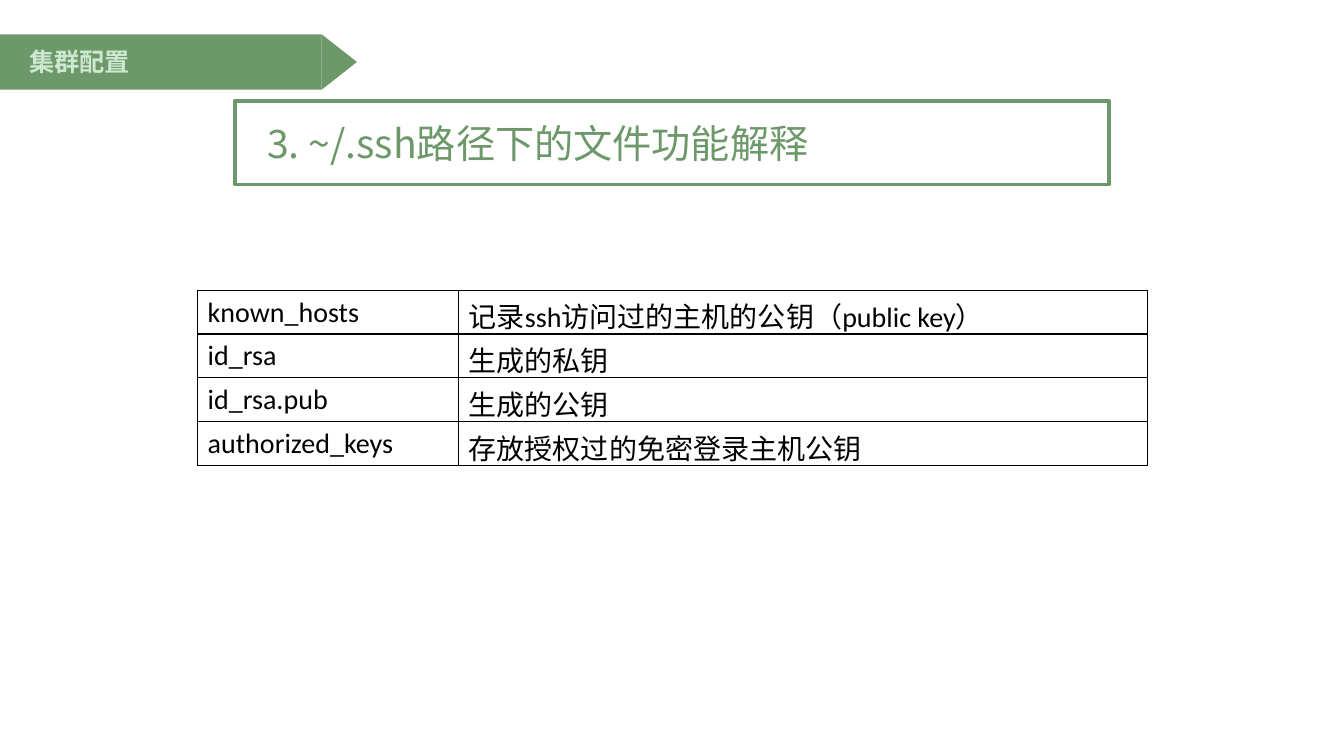
from lxml import etree
from pptx import Presentation
from pptx.dml.color import RGBColor
from pptx.enum import shapes, text
from pptx.oxml import ns
from pptx.util import Inches, Pt

SECTION = "集群配置"
HEADING = "3. ~/.ssh路径下的文件功能解释"
FILES = [
    ("known_hosts", "记录ssh访问过的主机的公钥（public key）"),
    ("id_rsa", "生成的私钥"),
    ("id_rsa.pub", "生成的公钥"),
    ("authorized_keys", "存放授权过的免密登录主机公钥"),
]
GREEN, MINT, BLACK = "6D986A", "CCE8CF", "000000"
CJK = "Noto Sans CJK SC"
COLUMNS = (2.59, 6.83)
ROW = 0.41
TABLE_LEFT, TABLE_TOP = 1.96, 2.88
RIBBON_TOP, RIBBON_WIDTH, RIBBON_HEIGHT, TIP = 0.34, 3.2, 0.55, 0.35


def rgb(value):
    """Turn a hex string into a colour."""
    return RGBColor.from_string(value)


def add_block(group, preset, box, fill=None, line=None):
    """Draw a plain shape with a fill or an outline."""
    block = group.add_shape(preset, *map(Inches, box))
    block.shadow.inherit = False
    if fill:
        block.fill.solid()
        block.fill.fore_color.rgb = rgb(fill)
    else:
        block.fill.background()
    if line:
        block.line.color.rgb = rgb(line)
        block.line.width = Pt(2.5)
    else:
        block.line.fill.background()
    return block


def add_label(slide, words, box, size, color, bold=False, anchor=text.MSO_ANCHOR.TOP):
    """Write one line in the heading font."""
    frame = slide.shapes.add_textbox(*map(Inches, box)).text_frame
    frame.word_wrap = True
    frame.vertical_anchor = anchor
    frame.margin_left = frame.margin_right = Inches(0.05)
    frame.margin_top = frame.margin_bottom = Inches(0.05)
    line = frame.paragraphs[0]
    run = line.add_run()
    run.text = words
    font = run.font
    font.name, font.size, font.bold = CJK, Pt(size), bold
    font.color.rgb = rgb(color)
    east = etree.SubElement(run._r.get_or_add_rPr(), ns.qn("a:ea"))
    east.set("typeface", CJK)


def add_borders(cell):
    """Rule all four sides of a cell."""
    properties = cell._tc.get_or_add_tcPr()
    for place, side in enumerate(("lnL", "lnR", "lnT", "lnB")):
        edge = etree.Element(ns.qn(f"a:{side}"), w=str(Pt(1)))
        solid = etree.SubElement(edge, ns.qn("a:solidFill"))
        etree.SubElement(solid, ns.qn("a:srgbClr"), val=BLACK)
        properties.insert(place, edge)


def add_ribbon(slide):
    """Draw the section ribbon with its pointed end."""
    ribbon = slide.shapes.add_group_shape().shapes
    add_block(ribbon, shapes.MSO_SHAPE.RECTANGLE,
              (-0.01, RIBBON_TOP, RIBBON_WIDTH, RIBBON_HEIGHT), GREEN)
    tip_left = RIBBON_WIDTH - 0.01 - (RIBBON_HEIGHT - TIP) / 2
    tip_top = RIBBON_TOP + (RIBBON_HEIGHT - TIP) / 2
    tip = add_block(ribbon, shapes.MSO_SHAPE.ISOSCELES_TRIANGLE,
                    (tip_left, tip_top, RIBBON_HEIGHT, TIP), GREEN)
    tip.rotation = 90
    add_label(slide, SECTION, (0.24, 0.41, 2.71, 0.4), 18, MINT, True,
              text.MSO_ANCHOR.MIDDLE)


def add_files(slide):
    """Fill the table of files and their purposes."""
    files = slide.shapes.add_table(
        len(FILES), len(COLUMNS), Inches(TABLE_LEFT), Inches(TABLE_TOP),
        Inches(sum(COLUMNS)), Inches(ROW * len(FILES))).table
    files.first_row = files.horz_banding = False
    for column, width in zip(files.columns, COLUMNS):
        column.width = Inches(width)
    for row, entry in enumerate(FILES):
        for column, words in enumerate(entry):
            cell = files.cell(row, column)
            cell.text = words
            cell.fill.background()
            font = cell.text_frame.paragraphs[0].runs[0].font
            font.name, font.size = "Calibri", Pt(20)
            font.color.rgb = rgb(BLACK)
            add_borders(cell)


def main():
    """Build and save the slide."""
    deck = Presentation()
    deck.slide_width, deck.slide_height = Inches(13.33), Inches(7.5)
    slide = deck.slides.add_slide(deck.slide_layouts[6])
    add_ribbon(slide)
    add_block(slide.shapes, shapes.MSO_SHAPE.RECTANGLE, (2.33, 1, 8.67, 0.83), line=GREEN)
    add_label(slide, HEADING, (2.6, 1.13, 6.87, 1.04), 28, GREEN)
    add_files(slide)
    deck.save("out.pptx")


if __name__ == "__main__":
    main()
